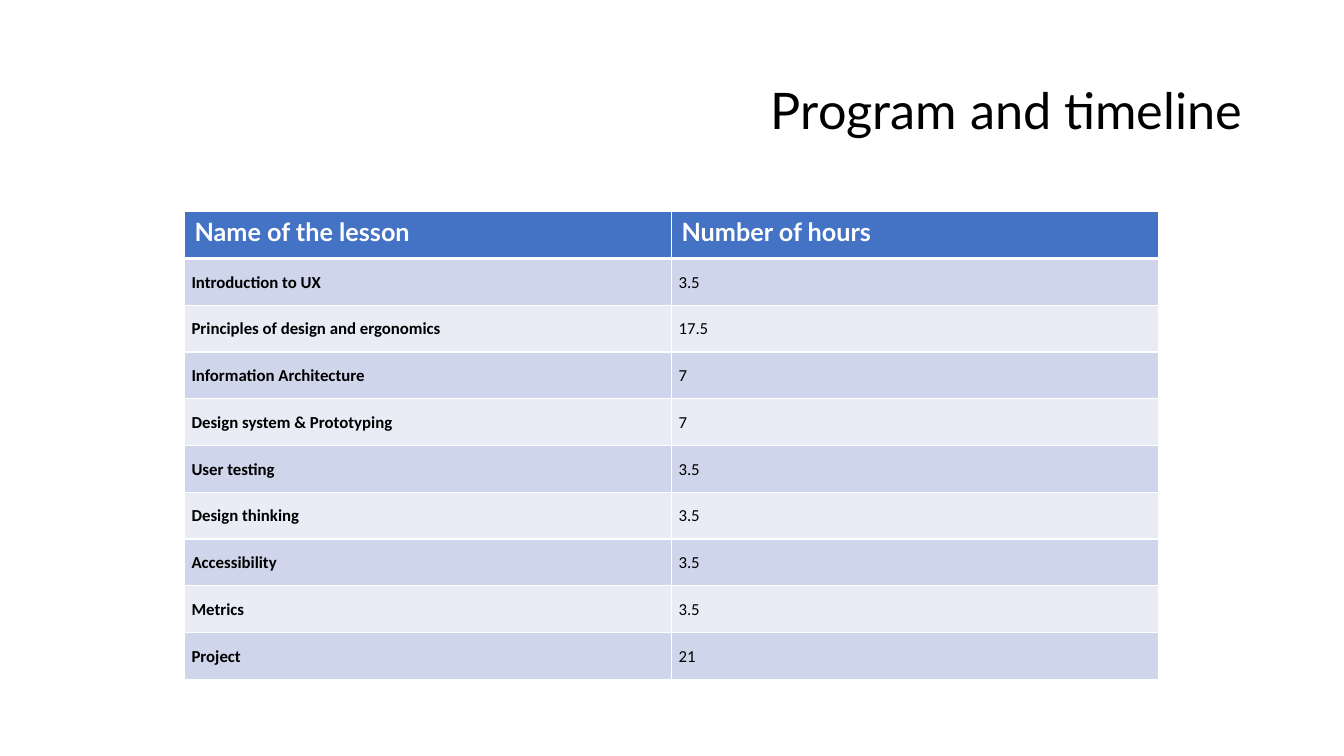
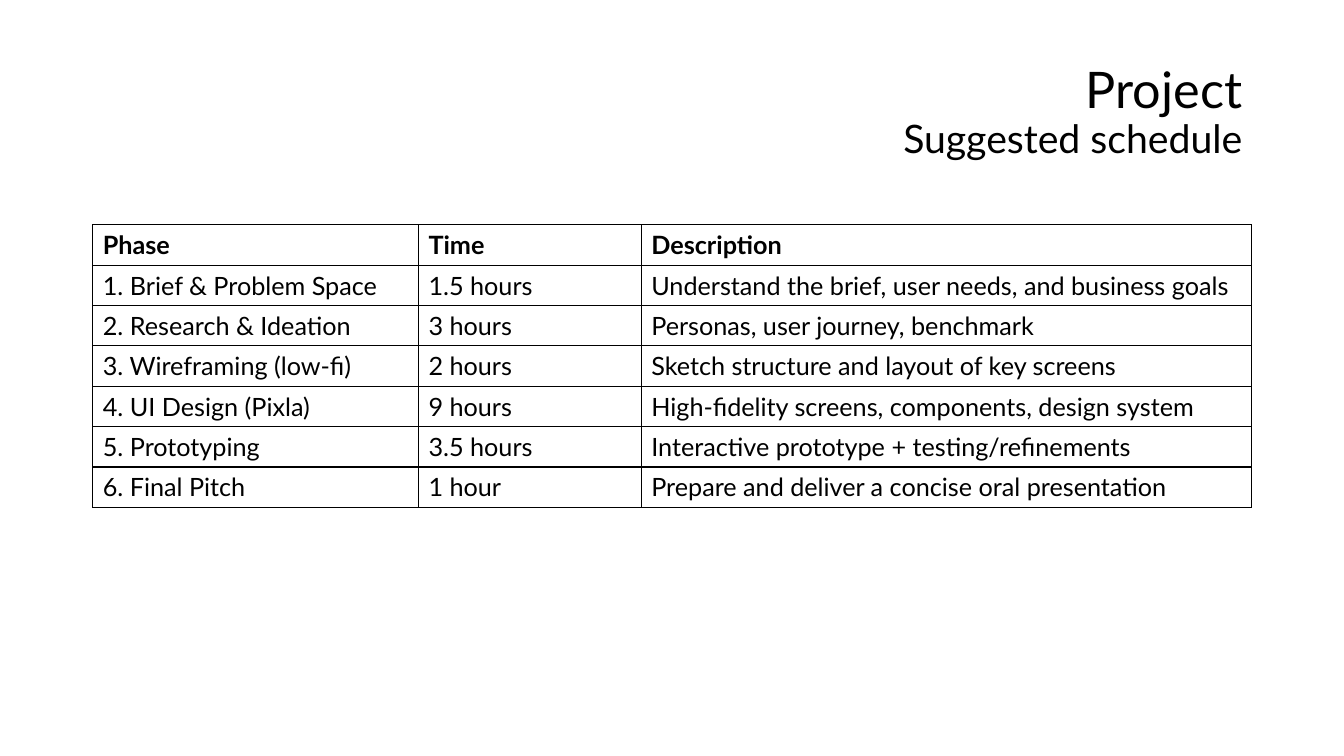
from dataclasses import dataclass
from pptx import Presentation
from pptx.dml.color import RGBColor as Rgb
from pptx.enum.text import MSO_ANCHOR as Anchor, PP_ALIGN as Align
from pptx.oxml import parse_xml
from pptx.oxml.ns import nsdecls
from pptx.util import Inches, Pt

COLORS = {
    "text": "000000",
    "white": "FFFFFF",
    "header": "4472C4",
    "band_dark": "CFD5EA",
    "band_light": "E9EBF5",
}
TITLE_FONT = "Lato"
BODY_FONT = "Calibri"
MARGIN, CONTENT_WIDTH = 0.92, 11.5

LESSONS = [
    ("Name of the lesson", "Number of hours"),
    ("Introduction to UX", "3.5"),
    ("Principles of design and ergonomics", "17.5"),
    ("Information Architecture", "7"),
    ("Design system & Prototyping", "7"),
    ("User testing", "3.5"),
    ("Design thinking", "3.5"),
    ("Accessibility", "3.5"),
    ("Metrics", "3.5"),
    ("Project", "21"),
]
PHASES = [
    ("Phase", "Time", "Description"),
    ("1. Brief & Problem Space", "1.5 hours", "Understand the brief, user needs, and business goals"),
    ("2. Research & Ideation", "3 hours", "Personas, user journey, benchmark"),
    ("3. Wireframing (low-fi)", "2 hours", "Sketch structure and layout of key screens"),
    ("4. UI Design (Pixla)", "9 hours", "High-fidelity screens, components, design system"),
    ("5. Prototyping", "3.5 hours", "Interactive prototype + testing/refinements"),
    ("6. Final Pitch", "1 hour", "Prepare and deliver a concise oral presentation"),
]


@dataclass
class CellStyle:
    """Look of one table cell."""

    size: int = 18
    font: str = TITLE_FONT
    color: str = "text"
    bold: bool = False
    fill: str = ""
    anchor: Anchor = Anchor.MIDDLE
    compact: bool = False
    border: str = "text"
    top: int = 1
    bottom: int = 1


def add_run(paragraph, text, size, font=TITLE_FONT, color="text", bold=False):
    """Add one formatted run to a paragraph."""
    run = paragraph.add_run()
    run.text = text
    run.font.size = Pt(size)
    run.font.name = font
    run.font.bold = bold
    run.font.color.rgb = Rgb.from_string(COLORS[color])


def add_title(slide, title, subtitle=""):
    """Add the right-aligned title with an optional smaller second line."""
    frame = slide.shapes.add_textbox(
        Inches(MARGIN), Inches(0.4), Inches(CONTENT_WIDTH), Inches(1.45)
    ).text_frame
    frame.word_wrap = True
    frame.vertical_anchor = Anchor.MIDDLE
    paragraph = frame.paragraphs[0]
    paragraph.alignment = Align.RIGHT
    paragraph.line_spacing = 0.9
    add_run(paragraph, title, 36)
    if subtitle:
        paragraph.add_line_break()
        add_run(paragraph, subtitle, 28)


def set_borders(cell, style):
    """Draw the four edges of a cell."""
    properties = cell._tc.get_or_add_tcPr()
    edges = {"lnL": 1, "lnR": 1, "lnT": style.top, "lnB": style.bottom}
    for edge, width in edges.items():
        properties.append(parse_xml(
            f'<a:{edge} {nsdecls("a")} w="{Pt(width)}"><a:solidFill>'
            f'<a:srgbClr val="{COLORS[style.border]}"/></a:solidFill></a:{edge}>'
        ))


def fill_cell(cell, text, style):
    """Write and format one table cell."""
    set_borders(cell, style)
    if style.fill:
        cell.fill.solid()
        cell.fill.fore_color.rgb = Rgb.from_string(COLORS[style.fill])
    else:
        cell.fill.background()
    cell.vertical_anchor = style.anchor
    paragraph = cell.text_frame.paragraphs[0]
    if style.compact:
        cell.margin_left = cell.margin_right = Inches(0.07)
        cell.margin_top = cell.margin_bottom = 0
        paragraph.line_spacing = 1.07
        paragraph.space_after = Pt(8)
    add_run(paragraph, text, style.size, style.font, style.color, style.bold)


def add_grid(slide, rows, left, top, widths, height, style_for):
    """Add a table of equal rows, styled by row and column index."""
    table = slide.shapes.add_table(
        len(rows), len(widths), Inches(left), Inches(top),
        Inches(sum(widths)), Inches(height),
    ).table
    table.horz_banding = False
    table.first_row = False
    for column, width in zip(table.columns, widths):
        column.width = Inches(width)
    for row_index, texts in enumerate(rows):
        for column_index, text in enumerate(texts):
            fill_cell(table.cell(row_index, column_index), text,
                      style_for(row_index, column_index))


def lesson_style(row, column):
    """Return the banded style of the lesson table."""
    if row == 0:
        return CellStyle(color="white", bold=True, fill="header",
                         anchor=Anchor.TOP, border="white", bottom=3)
    return CellStyle(size=12, font=BODY_FONT, bold=column == 0,
                     fill="band_dark" if row % 2 else "band_light",
                     compact=True, border="white", top=3 if row == 1 else 1)


def phase_style(row, column):
    """Return the plain ruled style of the schedule table."""
    return CellStyle(bold=row == 0)


def main():
    """Build and save the presentation."""
    deck = Presentation()
    deck.slide_width, deck.slide_height = Inches(13.33), Inches(7.5)
    blank = deck.slide_layouts[6]

    program = deck.slides.add_slide(blank)
    add_title(program, "Program and timeline")
    add_grid(program, LESSONS, 1.83, 2.1, [4.83, 4.83], 4.64, lesson_style)

    schedule = deck.slides.add_slide(blank)
    add_title(schedule, "Project", "Suggested schedule")
    add_grid(schedule, PHASES, MARGIN, 2.23, [3.23, 2.21, 6.05], 2.8, phase_style)

    deck.save("out.pptx")


if __name__ == "__main__":
    main()
